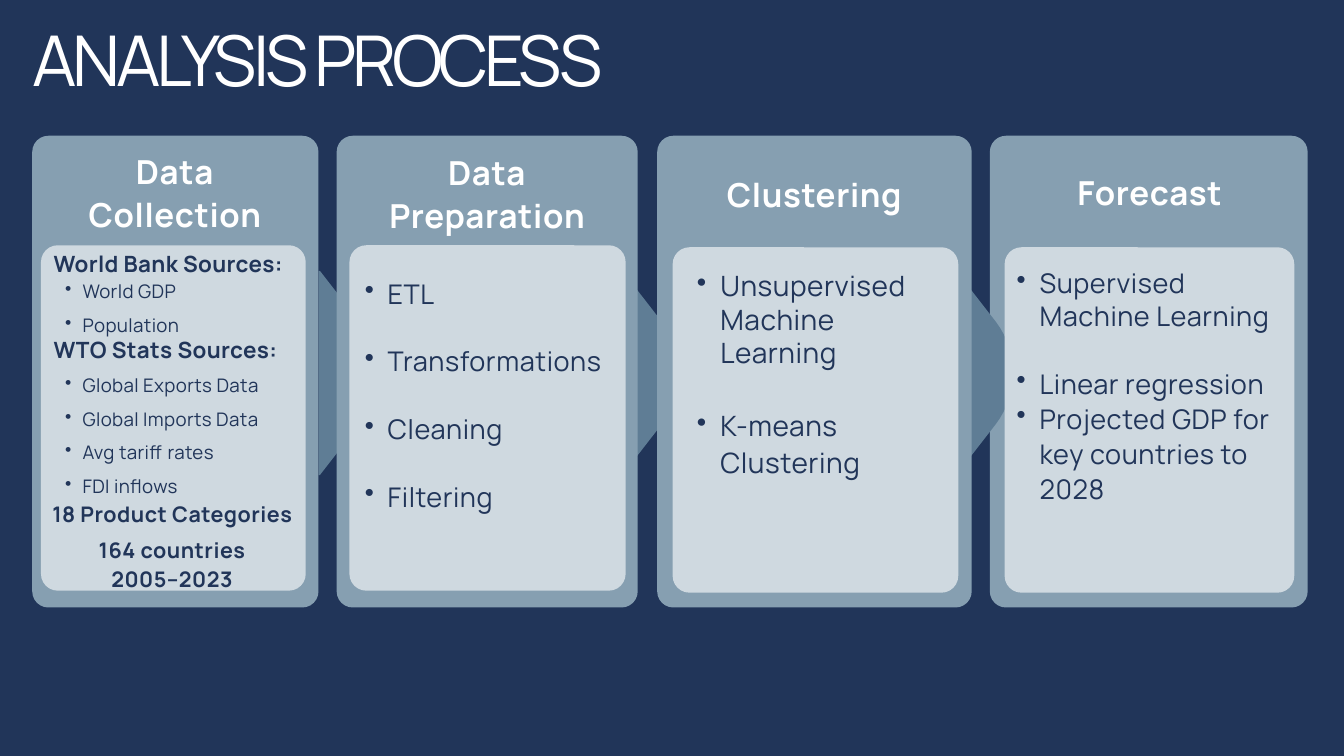
from lxml import etree
from pptx import Presentation
from pptx.dml.color import RGBColor
from pptx.enum.shapes import MSO_SHAPE as SHAPE
from pptx.enum.text import MSO_AUTO_SIZE as AUTO, PP_ALIGN as ALIGN
from pptx.oxml.ns import qn
from pptx.util import Inches, Pt

NAVY, STEEL, SLATE, MIST, WHITE = "213559", "869FB1", "5F7D95", "CFD9E0", "FFFFFF"
CARD_TOP, CARD_HEIGHT, PANEL_HEIGHT = 2.02, 7.02, 5.14
CARDS = [(0.48, 4.26), (5.01, 4.48), (9.78, 4.68), (14.73, 4.73)]
PANELS = [(0.61, 3.65, 3.94), (5.2, 3.65, 4.11),
          (10.01, 3.68, 4.25), (14.95, 3.68, 4.31)]
HEADINGS = [("Data Collection", 0.77, 2.2, 3.67, 1.28),
            ("Data Preparation", 5.57, 2.22, 3.36, 1.28),
            ("Clustering", 9.72, 2.55, 4.8, 0.65),
            ("Forecast", 14.71, 2.52, 4.8, 0.65)]


def rgb(color):
    return RGBColor.from_string(color)


def paint(sp, color):
    sp.shadow.inherit = False
    sp.fill.solid()
    sp.fill.fore_color.rgb = rgb(color)
    sp.line.fill.background()


def add_box(s, left, top, width, height, radius, color):
    sp = s.shapes.add_shape(SHAPE.ROUNDED_RECTANGLE, Inches(left), Inches(top),
                            Inches(width), Inches(height))
    sp.adjustments[0] = radius / min(width, height)
    paint(sp, color)


def add_card(s, left, width):
    add_box(s, left, CARD_TOP, width, CARD_HEIGHT, 0.24, STEEL)


def add_arrow(s, left):
    top, height, shoulder, bulge, steps = 4.03, 3.04, 0.61, 0.95, 16
    points = []
    for i in range(steps + 1):
        t = i / steps
        middle = 3 * t * (1 - t)
        x = shoulder * (1 - middle) + bulge * middle
        y = (0.76 * (1 - t) ** 3 + 1.21 * middle * (1 - t)
             + 1.83 * middle * t + 2.28 * t ** 3)
        points.append((Inches(left + x), Inches(top + y)))
    points += [(Inches(left + 0.02), Inches(top + height)),
               (Inches(left), Inches(top + height))]
    builder = s.shapes.build_freeform(Inches(left), Inches(top))
    builder.add_line_segments([(Inches(left + 0.02), Inches(top))] + points)
    paint(builder.convert_to_shape(), SLATE)


def add_bullet(p, indent):
    pPr = p._p.get_or_add_pPr()
    pPr.set("marL", str(Inches(2 * indent)))
    pPr.set("indent", str(-Inches(indent)))
    bullet = etree.Element(qn("a:buChar"), char="•")
    pPr.get_or_add_defRPr().addprevious(bullet)


def add_text(s, left, top, width, height, lines, size, color=NAVY, bold=False,
             tracking=0.5, spacing=None, align=ALIGN.LEFT, bullet=0, inset=False):
    box = s.shapes.add_textbox(Inches(left), Inches(top), Inches(width), Inches(height))
    tf = box.text_frame
    tf.word_wrap = True
    tf.auto_size = AUTO.SHAPE_TO_FIT_TEXT
    if not inset:
        tf.margin_left = tf.margin_top = tf.margin_right = tf.margin_bottom = 0
    tf.text = "\n".join(lines)
    for p in tf.paragraphs:
        p.alignment = align
        if spacing:
            p.line_spacing = spacing
        p.font.name = "Manrope"
        p.font.size = Pt(size)
        p.font.bold = bold
        p.font.color.rgb = rgb(color)
        p._p.pPr.get_or_add_defRPr().set("spc", str(round(tracking * 100)))
        if bullet:
            add_bullet(p, bullet)
    return tf.paragraphs


def add_source_heading(s, left, top, width, height, text, inset):
    add_text(s, left, top, width, height, [text], 24, bold=True, tracking=0.4,
             spacing=Pt(28.6), inset=inset)


def add_source_list(s, top, width, height, lines):
    add_text(s, 0.61, top, width, height, lines, 20, tracking=0.4, spacing=1.5,
             bullet=0.26, inset=True)


def add_totals(s, left, top, width, height, lines, inset):
    add_text(s, left, top, width, height, lines, 23, bold=True, spacing=Pt(31.2),
             align=ALIGN.CENTER, inset=inset)


def add_steps(s, left, top, width, height, lines, size, indent, spacings):
    paragraphs = add_text(s, left, top, width, height, lines, size, tracking=0.6,
                          bullet=indent)
    for p, spacing in zip(paragraphs, spacings):
        if spacing:
            p.line_spacing = Pt(spacing)
    return paragraphs


def main():
    prs = Presentation()
    prs.slide_width, prs.slide_height = Inches(20), Inches(11.25)
    s = prs.slides.add_slide(prs.slide_layouts[6])
    s.background.fill.solid()
    s.background.fill.fore_color.rgb = rgb(NAVY)

    add_card(s, *CARDS[-1])
    for left in (4.74, 9.24, 14.21):
        add_arrow(s, left)
    for card in CARDS[:-1]:
        add_card(s, *card)
    for left, top, width in PANELS:
        add_box(s, left, top, width, PANEL_HEIGHT, 0.25, MIST)

    add_text(s, 0.48, 0.35, 11.37, 1.25, ["ANALYSIS PROCESS"], 75, WHITE,
             tracking=-4.4, spacing=Pt(82.5))
    for heading, *place in HEADINGS:
        add_text(s, *place, [heading], 35.4, WHITE, bold=True, tracking=0.7,
                 spacing=Pt(46), align=ALIGN.CENTER)

    add_source_heading(s, 0.8, 3.72, 3.77, 0.4, "World Bank Sources:", False)
    add_source_list(s, 3.95, 2.58, 1.06, ["World GDP", "Population"])
    add_source_heading(s, 0.7, 4.96, 3.93, 0.5, "WTO Stats Sources:", True)
    add_source_list(s, 5.35, 5.7, 2.07, ["Global Exports Data", "Global Imports Data",
                                         "Avg tariff rates", "FDI inflows"])
    add_totals(s, 0.48, 7.35, 4.17, 0.52, ["18 Product Categories"], True)
    add_totals(s, 0.22, 7.94, 4.68, 0.86, ["164 countries", "2005–2023"], False)

    add_steps(s, 5.09, 3.6, 4.32, 3.89,
              ["ETL", "Transformations", "Cleaning", "Filtering"],
              29, 0.34, [72.5] * 4)
    clustering = add_steps(s, 10.02, 4, 4.05, 3.14,
                           ["Unsupervised Machine Learning", "K-means Clustering"],
                           30, 0.35, [None, 39])
    clustering[1].space_before = Pt(39)
    add_steps(s, 14.79, 3.97, 4.24, 4.05,
              ["Supervised Machine Learning", "Linear regression",
               "Projected GDP for key countries to 2028"],
              29, 0.34, [None, 72.5, 37.7])
    prs.save("out.pptx")


if __name__ == "__main__":
    main()
